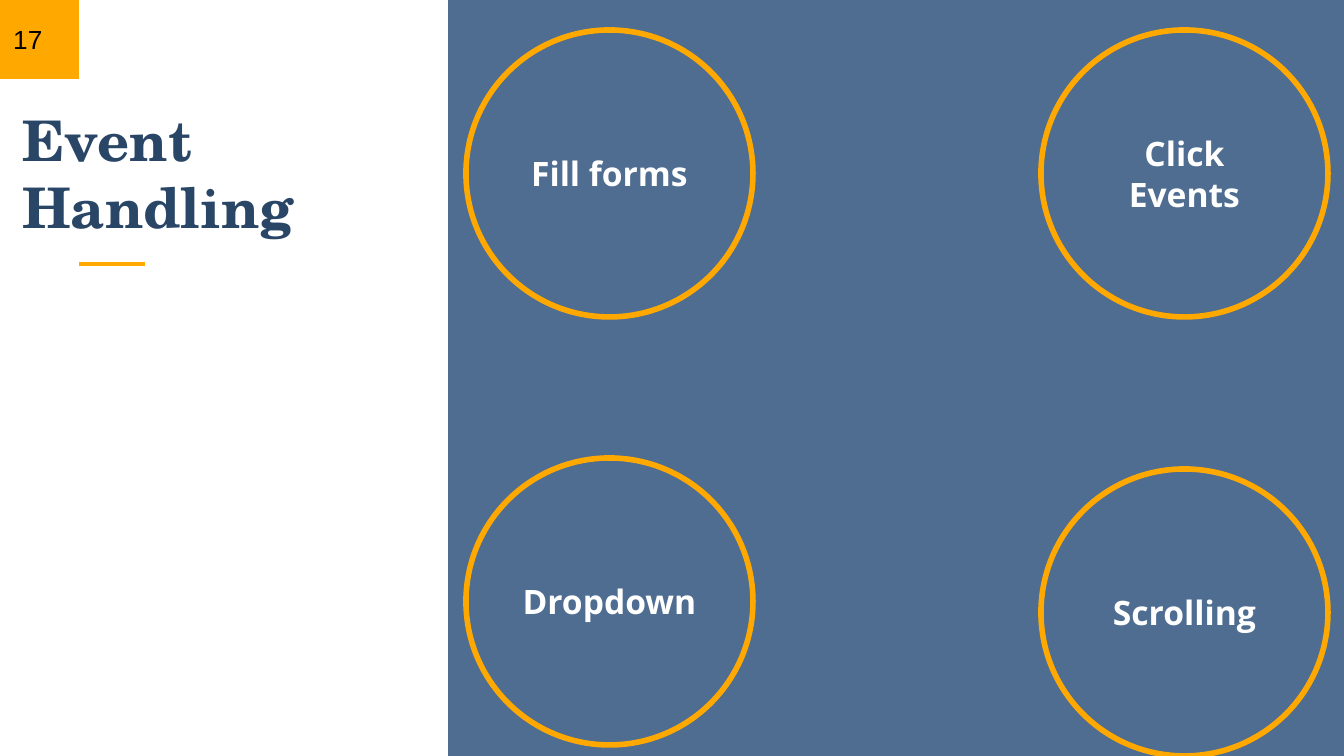
from typing import NamedTuple

from lxml.etree import SubElement
from pptx import Presentation
from pptx.dml.color import RGBColor
from pptx.enum.shapes import MSO_CONNECTOR as Connector, MSO_SHAPE as Preset
from pptx.enum.text import MSO_ANCHOR as Anchor, PP_ALIGN as Align
from pptx.oxml.ns import qn
from pptx.shapes.autoshape import Shape
from pptx.util import Emu, Inches, Pt

EMU_PER_PX = 914400 / 134.4
SLIDE_WIDTH, SLIDE_HEIGHT = 1344, 756
PANEL_LEFT = 448
BADGE_SIZE = 79
CIRCLE_SIZE = 287
LEFT_COLUMN, RIGHT_COLUMN = 466, 1041
TOP_ROW = 30

ORANGE = "FFA800"
NAVY = "294667"
PANEL_BLUE = "325680"
WHITE = "FFFFFF"
BLACK = "000000"


class Box(NamedTuple):
    left: int
    top: int
    width: int
    height: int


class Event(NamedTuple):
    label: str
    left: int
    top: int


EVENTS = [
    Event("Fill forms", LEFT_COLUMN, TOP_ROW),
    Event("Dropdown", LEFT_COLUMN, 458),
    Event("Click Events", RIGHT_COLUMN, TOP_ROW),
    Event("Scrolling", RIGHT_COLUMN, 469),
]


def px(length: int) -> Emu:
    return Emu(round(length * EMU_PER_PX))


def color(hex_code: str) -> RGBColor:
    return RGBColor.from_string(hex_code)


def write(shape: Shape, text: str, *, font: str, size: int, fill: str,
          bold: bool = False, align: Align = Align.LEFT,
          anchor: Anchor = Anchor.MIDDLE) -> None:
    frame = shape.text_frame
    frame.word_wrap = True
    frame.vertical_anchor = anchor
    frame.margin_left = frame.margin_right = Inches(0.1)
    frame.margin_top = frame.margin_bottom = Inches(0.1)
    paragraph = frame.paragraphs[0]
    paragraph.alignment = align
    run = paragraph.add_run()
    run.text = text
    run.font.name = font
    run.font.size = Pt(size)
    run.font.bold = bold
    run.font.color.rgb = color(fill)


def add_block(shapes, box: Box, fill: str, opacity: int = 100) -> Shape:
    block = shapes.add_shape(Preset.RECTANGLE, *map(px, box))
    block.shadow.inherit = False
    block.fill.solid()
    block.fill.fore_color.rgb = color(fill)
    block.line.fill.background()
    if opacity < 100:
        rgb = block.fill._xPr.find(qn("a:solidFill")).find(qn("a:srgbClr"))
        SubElement(rgb, qn("a:alpha"), val=str(opacity * 1000))
    return block


def add_rule(shapes, left: int, right: int, y: int) -> None:
    rule = shapes.add_connector(Connector.STRAIGHT, px(left), px(y), px(right), px(y))
    rule.line.color.rgb = color(ORANGE)
    rule.line.width = Pt(2.25)
    SubElement(rule._element.spPr, qn("a:effectLst"))


def add_event(shapes, event: Event) -> None:
    box = Box(event.left, event.top, CIRCLE_SIZE, CIRCLE_SIZE)
    circle = shapes.add_shape(Preset.OVAL, *map(px, box))
    circle.shadow.inherit = False
    circle.fill.background()
    circle.line.color.rgb = color(ORANGE)
    circle.line.width = Pt(3)
    write(circle, event.label, font="Open Sans", size=18, fill=WHITE,
          bold=True, align=Align.CENTER)


def main() -> None:
    deck = Presentation()
    deck.slide_width, deck.slide_height = px(SLIDE_WIDTH), px(SLIDE_HEIGHT)
    shapes = deck.slides.add_slide(deck.slide_layouts[6]).shapes

    panel = Box(PANEL_LEFT, 0, SLIDE_WIDTH - PANEL_LEFT, SLIDE_HEIGHT)
    add_block(shapes, panel, PANEL_BLUE, opacity=86)
    add_rule(shapes, BADGE_SIZE, 145, 264)
    badge = add_block(shapes, Box(0, 0, BADGE_SIZE, BADGE_SIZE), ORANGE)
    write(badge, "17", font="Arial", size=14, fill=BLACK)

    title = shapes.add_textbox(*map(px, Box(9, 94, 413, 159)))
    write(title, "Event Handling", font="TeX Gyre Schola", size=30, fill=NAVY,
          bold=True, anchor=Anchor.BOTTOM)

    for event in EVENTS:
        add_event(shapes, event)

    deck.save("out.pptx")


if __name__ == "__main__":
    main()
